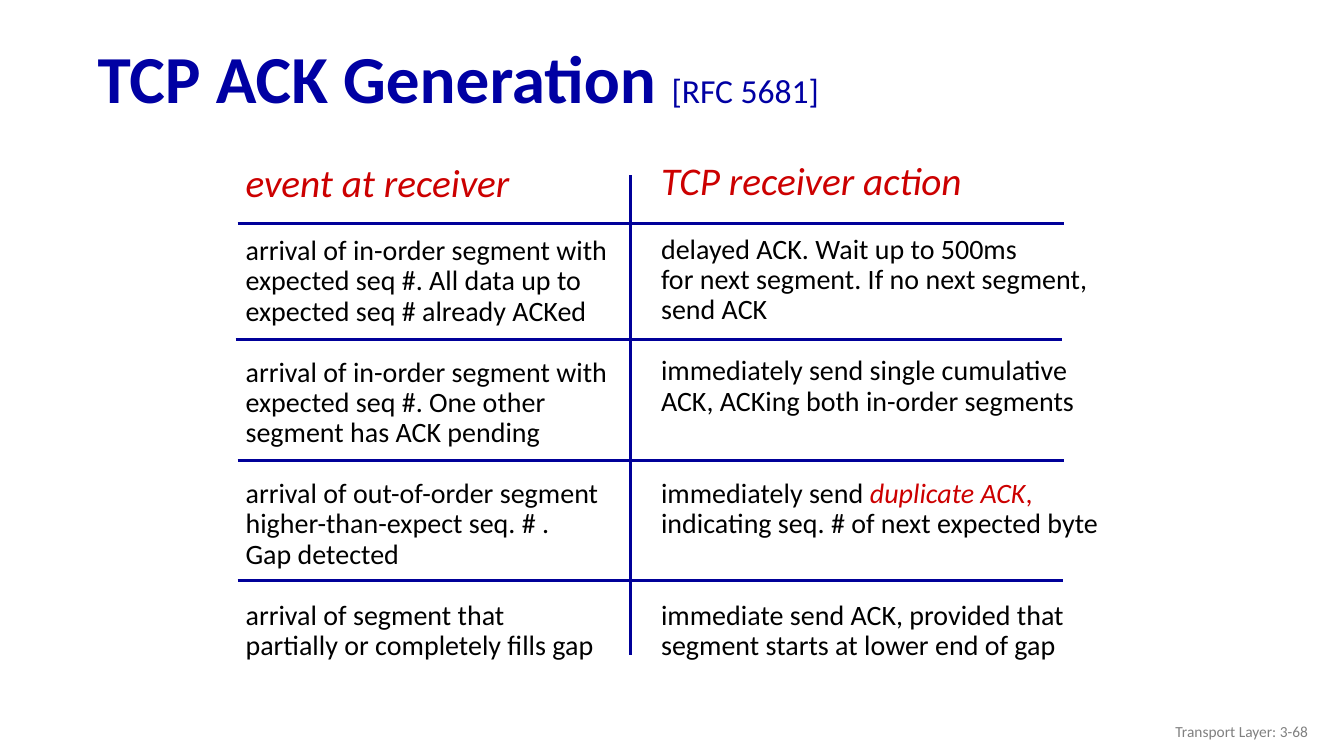
from lxml.etree import SubElement
from pptx import Presentation
from pptx.dml.color import RGBColor
from pptx.enum.shapes import MSO_CONNECTOR
from pptx.enum.text import MSO_ANCHOR, PP_ALIGN
from pptx.oxml.ns import qn
from pptx.util import Cm, Pt

NAVY, RULE_BLUE, RED, BLACK, GRAY = "0000A3", "000099", "CC0000", "000000", "808080"
LINE_PITCH = 22  # height of one body line, in points
ROW_LINES = 4  # every table row is four lines high


def style_font(font, size, colour, bold=False, italic=False):
    font.name = "Calibri"
    font.size = Pt(size)
    font.bold = bold
    font.italic = italic
    font.color.rgb = RGBColor.from_string(colour)


def add_box(left, top, width, height, wrap=True, anchor=MSO_ANCHOR.MIDDLE):
    box = page.shapes.add_textbox(Cm(left), Cm(top), Cm(width), Cm(height))
    box.text_frame.word_wrap = wrap
    box.text_frame.vertical_anchor = anchor
    return box.text_frame


deck = Presentation()
deck.slide_width, deck.slide_height = Cm(33.87), Cm(19.05)
page = deck.slides.add_slide(deck.slide_layouts[6])

# Title
para = add_box(2.21, 0.81, 31.65, 2.49).paragraphs[0]
para.line_spacing = 0.9
for text, size, bold in [("TCP ACK Generation ", 48, True), ("[RFC 5681]", 24, False)]:
    span = para.add_run()
    span.text = text
    style_font(span.font, size, NAVY, bold=bold)

# Footer
para = add_box(25.6, 17.91, 7.62, 1.02).paragraphs[0]
para.text = "Transport Layer: 3-68"
para.alignment = PP_ALIGN.RIGHT
style_font(para.font, 11, GRAY)

# Two columns: a heading, then rows of lines; a tuple lists (text, colour, italic) spans
columns = [
    (5.94, 3.99, 9.7, "event at receiver", [
        ["arrival of in-order segment with",
         "expected seq #. All data up to",
         "expected seq # already ACKed"],
        ["arrival of in-order segment with",
         "expected seq #. One other",
         "segment has ACK pending"],
        ["arrival of out-of-order segment",
         "higher-than-expect seq. # .",
         "Gap detected"],
        ["arrival of segment that",
         "partially or completely fills gap"],
    ]),
    (16.41, 3.96, 11.63, "TCP receiver action", [
        ["delayed ACK. Wait up to 500ms",
         "for next segment. If no next segment,",
         "send ACK"],
        ["immediately send single cumulative",
         "ACK, ACKing both in-order segments"],
        [(("immediately send ", BLACK, False),
          ("duplicate ACK", RED, True),
          (",", RED, False)),
         "indicating seq. # of next expected byte"],
        ["immediate send ACK, provided that",
         "segment starts at lower end of gap"],
    ]),
]
for left, top, width, heading, rows in columns:
    frame = add_box(left, top, width, 14.07, wrap=False, anchor=MSO_ANCHOR.TOP)
    para = frame.paragraphs[0]
    para.text = heading
    para.line_spacing = 0.9
    style_font(para.font, 28, RED, italic=True)
    free_lines = 1
    for row in rows:
        for number, line in enumerate(row):
            para = frame.add_paragraph()
            para.line_spacing = 0.9
            para.space_before = Pt(0 if number else free_lines * LINE_PITCH)
            style_font(para.font, 20, BLACK)
            if isinstance(line, str):
                para.text = line
                continue
            for text, colour, italic in line:
                span = para.add_run()
                span.text = text
                style_font(span.font, 20, colour, italic=italic)
        free_lines = ROW_LINES - len(row)

# Rules: the column divider, then the row dividers
rules = [
    (15.88, 4.42, 15.88, 16.51),
    (5.99, 5.64, 26.82, 5.64),
    (5.94, 8.56, 26.77, 8.56),
    (5.99, 11.61, 26.82, 11.61),
    (5.99, 14.63, 26.8, 14.63),
]
for ends in rules:
    rule = page.shapes.add_connector(MSO_CONNECTOR.STRAIGHT, *map(Cm, ends))
    rule.line.color.rgb = RGBColor.from_string(RULE_BLUE)
    rule.line.width = Pt(2.25)
    SubElement(rule.element.spPr, qn("a:effectLst"))

deck.save("out.pptx")
